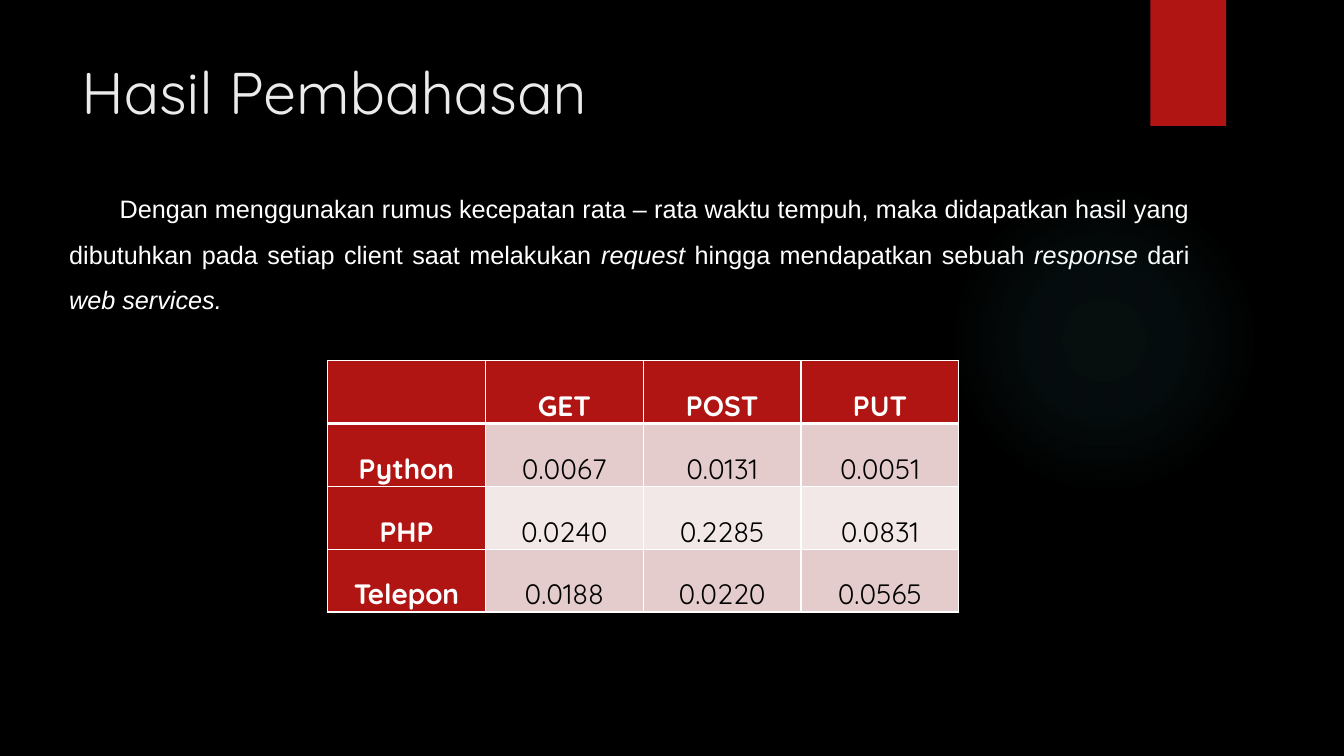
from dataclasses import dataclass

from pptx import Presentation, oxml
from pptx.dml.color import RGBColor
from pptx.enum import shapes, text
from pptx.oxml import ns
from pptx.util import Pt


@dataclass(frozen=True)
class Theme:
    back: str = "000000"
    red: str = "B01513"
    glow: str = "50B9C1"
    head: str = "EBEBEB"
    white: str = "FFFFFF"
    ink: str = "000000"
    bands: tuple = ("E4CCCC", "F2E8E7")
    title: int = 42
    body: int = 18
    cell: int = 20
    sans: str = "Quicksand"
    plain: str = "Arial"


class Deck:
    def __init__(self, theme):
        self.theme = theme
        self.prs = Presentation()
        self.prs.slide_width, self.prs.slide_height = Pt(960), Pt(540)
        self.slide = self.prs.slides.add_slide(self.prs.slide_layouts[1])
        self.paint(self.slide.background.fill, theme.back)

    def paint(self, fill, color):
        fill.solid()
        fill.fore_color.rgb = RGBColor.from_string(color)

    def style(self, para, face, size, color, bold=False):
        font = para.font
        font.name, font.size, font.bold = face, Pt(size), bold
        font.color.rgb = RGBColor.from_string(color)

    def place(self, shape, box):
        shape.left, shape.top, shape.width, shape.height = map(Pt, box)

    def shape(self, kind, box, color):
        item = self.slide.shapes.add_shape(kind, *map(Pt, box))
        item.shadow.inherit = False
        item.line.fill.background()
        self.paint(item.fill, color)
        return item

    def glow(self, box, stops):
        """Draw a radial glow; stops pair a position with an opacity, in percent."""
        item = self.shape(shapes.MSO_SHAPE.OVAL, box, self.theme.glow)
        marks = "".join(
            f'<a:gs pos="{pos * 1000}"><a:srgbClr val="{self.theme.glow}">'
            f'<a:alpha val="{alpha * 1000}"/></a:srgbClr></a:gs>'
            for pos, alpha in stops)
        grad = oxml.parse_xml(
            f'<a:gradFill {ns.nsdecls("a")}><a:gsLst>{marks}</a:gsLst>'
            '<a:path path="circle"><a:fillToRect l="50000" t="50000" '
            'r="50000" b="50000"/></a:path></a:gradFill>')
        props = item.element.spPr
        props.replace(props.find(ns.qn("a:solidFill")), grad)

    def title(self, words, box):
        item = self.slide.shapes.title
        self.place(item, box)
        frame = item.text_frame
        frame.text = words
        frame.vertical_anchor = text.MSO_ANCHOR.TOP
        para = frame.paragraphs[0]
        para.alignment = text.PP_ALIGN.LEFT
        self.style(para, self.theme.sans, self.theme.title, self.theme.head)

    def body(self, runs, box, indent):
        """Fill the body with one paragraph; every second run is italic."""
        item = self.slide.placeholders[1]
        self.place(item, box)
        para = item.text_frame.paragraphs[0]
        para.alignment = text.PP_ALIGN.JUSTIFY
        para.line_spacing = 1.5
        para.space_before, para.space_after = Pt(0), Pt(8)
        self.style(para, self.theme.plain, self.theme.body, self.theme.white)
        props = para._p.get_or_add_pPr()
        props.set("marL", "0")
        props.set("indent", str(Pt(indent)))
        none = oxml.parse_xml(f'<a:buNone {ns.nsdecls("a")}/>')
        props.find(ns.qn("a:defRPr")).addprevious(none)
        for i, words in enumerate(runs):
            run = para.add_run()
            run.text = words
            run.font.italic = i % 2 == 1

    def edges(self, cell, base):
        """Draw the cell borders, with the lower one base points wide."""
        props = cell._tc.get_or_add_tcPr()
        for side, width in zip("LRTB", (1, 1, 1, base)):
            props.append(oxml.parse_xml(
                f'<a:ln{side} {ns.nsdecls("a")} w="{Pt(width)}"><a:solidFill>'
                f'<a:srgbClr val="{self.theme.white}"/></a:solidFill></a:ln{side}>'))

    def cell(self, cell, words, row, col):
        theme = self.theme
        head = row == 0 or col == 0
        cell.margin_left = cell.margin_right = Pt(5)
        cell.margin_top, cell.margin_bottom = Pt(7.2), Pt(0)
        if head:
            cell.vertical_anchor = text.MSO_ANCHOR.MIDDLE
        self.edges(cell, 3 if row == 0 else 1)
        self.paint(cell.fill, theme.red if head else theme.bands[(row - 1) % 2])
        cell.text = words
        para = cell.text_frame.paragraphs[0]
        para.alignment = text.PP_ALIGN.CENTER
        para.line_spacing = 1.5
        self.style(para, theme.sans, theme.cell,
                   theme.white if head else theme.ink, head)

    def table(self, rows, box):
        grid = self.slide.shapes.add_table(
            len(rows), len(rows[0]), *map(Pt, box)).table
        for r, row in enumerate(rows):
            for c, words in enumerate(row):
                self.cell(grid.cell(r, c), words, r, c)

    def save(self):
        self.prs.save("out.pptx")


def main():
    deck = Deck(Theme())
    deck.glow((677.5, 131.75, 221.75, 221.75), ((0, 7), (36, 6), (69, 0)))
    deck.shape(shapes.MSO_SHAPE.RECTANGLE, (821.75, 0, 54, 90), deck.theme.red)
    deck.title("Hasil Pembahasan", (51, 36, 741, 110))
    deck.body((
        "Dengan menggunakan rumus kecepatan rata – rata waktu tempuh, maka "
        "didapatkan hasil yang dibutuhkan pada setiap client saat melakukan ",
        "request", " hingga mendapatkan sebuah ", "response ", "dari ",
        "web services.",
    ), (42.25, 124, 814.5, 105), 36)
    deck.table((
        ("", "GET", "POST", "PUT"),
        ("Python", "0.0067", "0.0131", "0.0051"),
        ("PHP", "0.0240", "0.2285", "0.0831"),
        ("Telepon", "0.0188", "0.0220", "0.0565"),
    ), (234, 257.75, 451, 178.5))
    deck.save()


if __name__ == "__main__":
    main()
